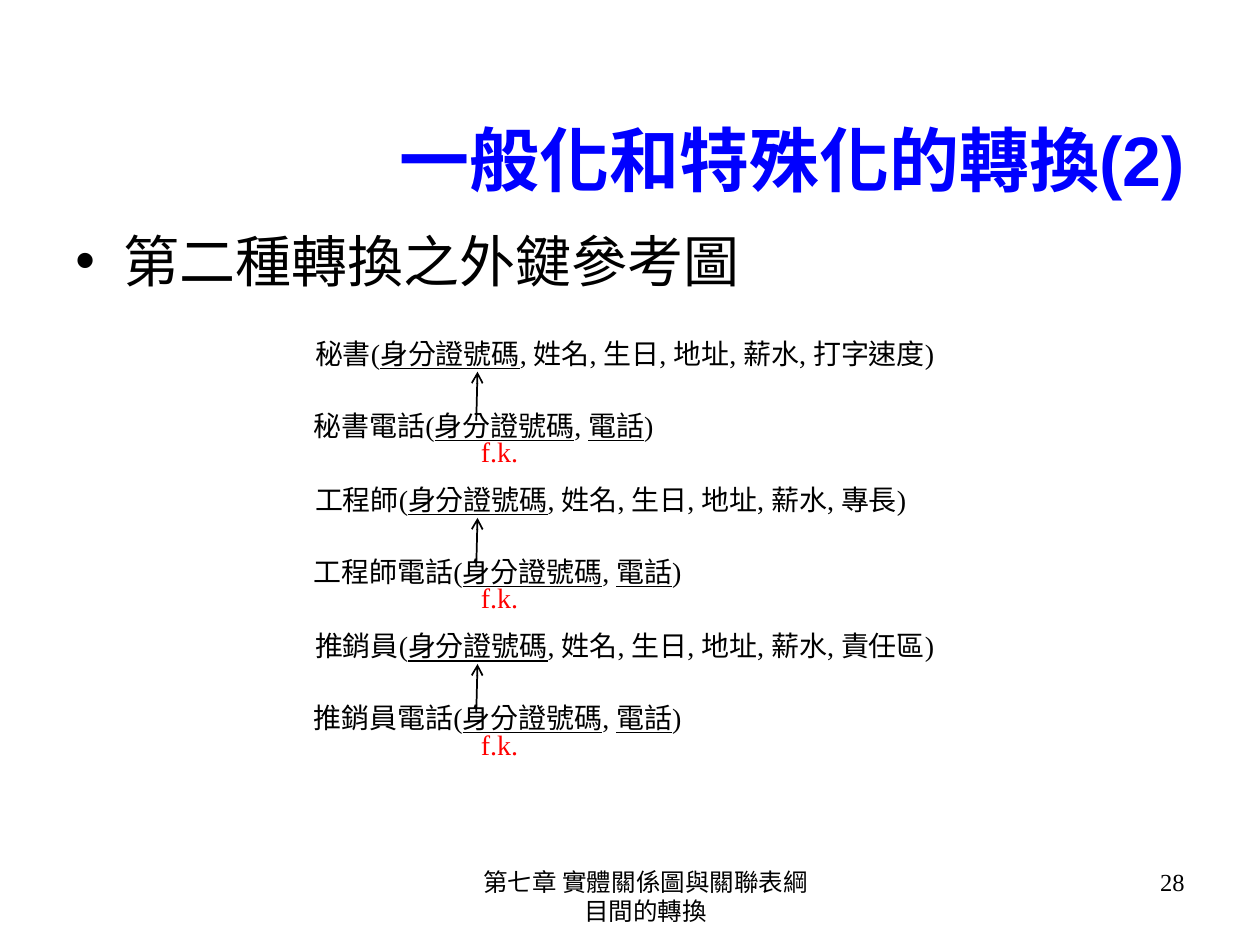
import pptx
import pptx.dml.color
import pptx.enum.lang
import pptx.enum.shapes
import pptx.enum.text
import pptx.oxml.ns
import pptx.util
from lxml import etree

SCALE = 9144
ALIGN = pptx.enum.text.PP_ALIGN
KEY = ("身分證號碼", True)


def px(n):
    return pptx.util.Emu(n * SCALE)


def rgb(value):
    return pptx.dml.color.RGBColor.from_string(value)


def sub(parent, tag, **attrs):
    return etree.SubElement(parent, pptx.oxml.ns.qn(tag), attrs)


class Deck:
    serif = "Times New Roman"
    sans = "Arial"
    black = "000000"
    blue = "0000FF"
    red = "FF0000"

    def __init__(self, width, height):
        self.prs = pptx.Presentation()
        self.prs.slide_width, self.prs.slide_height = px(width), px(height)
        self.s = self.prs.slides.add_slide(self.prs.slide_layouts[6])

    def text(self, x, y, w, h, runs, size, font=serif, color=black, bold=False,
             align=ALIGN.LEFT, inset=(0, 0), margin=0, indent=0, bullet=None,
             middle=False):
        tf = self.s.shapes.add_textbox(px(x), px(y), px(w), px(h)).text_frame
        tf.word_wrap = True
        tf.margin_left = tf.margin_right = px(inset[0])
        tf.margin_top = tf.margin_bottom = px(inset[1])
        if middle:
            tf.vertical_anchor = pptx.enum.text.MSO_ANCHOR.MIDDLE
        p = tf.paragraphs[0]
        p.alignment = align
        pPr = p._p.get_or_add_pPr()
        pPr.set("marL", str(px(margin)))
        pPr.set("indent", str(px(indent)))
        if bullet:
            sub(sub(pPr, "a:buClr"), "a:srgbClr", val=color)
            sub(pPr, "a:buFont", typeface=font)
            sub(pPr, "a:buChar", char=bullet)
        for content, underline in runs:
            r = p.add_run()
            r.text = content
            r.font.name, r.font.size = font, pptx.util.Pt(size)
            r.font.bold, r.font.underline = bold, underline
            r.font.color.rgb = rgb(color)
            r.font.language_id = pptx.enum.lang.MSO_LANGUAGE_ID.TRADITIONAL_CHINESE

    def arrow(self, x1, y1, x2, y2):
        c = self.s.shapes.add_connector(
            pptx.enum.shapes.MSO_CONNECTOR.STRAIGHT, px(x1), px(y1), px(x2), px(y2))
        c.line.color.rgb = rgb(self.black)
        c.line.width = pptx.util.Pt(1)
        sub(c.line._get_or_add_ln(), "a:tailEnd", type="arrow")
        sub(c._element.spPr, "a:effectLst")

    def relation(self, y, name, extra):
        self.text(250, y, 508, 39,
                  [(f"{name}(", False), KEY,
                   (f", 姓名, 生日, 地址, 薪水, {extra})", False)], 16)
        self.text(249, y + 57, 410, 39,
                  [(f"{name}電話(", False), KEY, (", ", False),
                   ("電話", True), (")", False)], 16)
        self.text(377, y + 78, 39, 39, [("f.k.", False)], 16,
                  color=self.red, align=ALIGN.CENTER)
        self.arrow(378, y + 67, 379, y + 28)


def main():
    deck = Deck(1000, 750)
    deck.text(50, 92, 900, 67, [("一般化和特殊化的轉換(2)", False)], 40,
              font=deck.sans, color=deck.blue, bold=True, align=ALIGN.RIGHT,
              inset=(10, 5), middle=True)
    deck.text(50, 175, 900, 542, [("第二種轉換之外鍵參考圖", False)], 32,
              font=deck.sans, inset=(10, 5), margin=38, indent=-38, bullet="•")
    relations = [("秘書", "打字速度"), ("工程師", "專長"), ("推銷員", "責任區")]
    for i, (name, extra) in enumerate(relations):
        deck.relation(267 + 116 * i, name, extra)
    deck.text(342, 683, 317, 52, [("第七章 實體關係圖與關聯表綱目間的轉換", False)], 14,
              align=ALIGN.CENTER, inset=(10, 5), margin=24)
    deck.text(717, 683, 233, 52, [("28", False)], 14,
              align=ALIGN.RIGHT, inset=(10, 5), margin=24)
    deck.prs.save("out.pptx")


if __name__ == "__main__":
    main()
